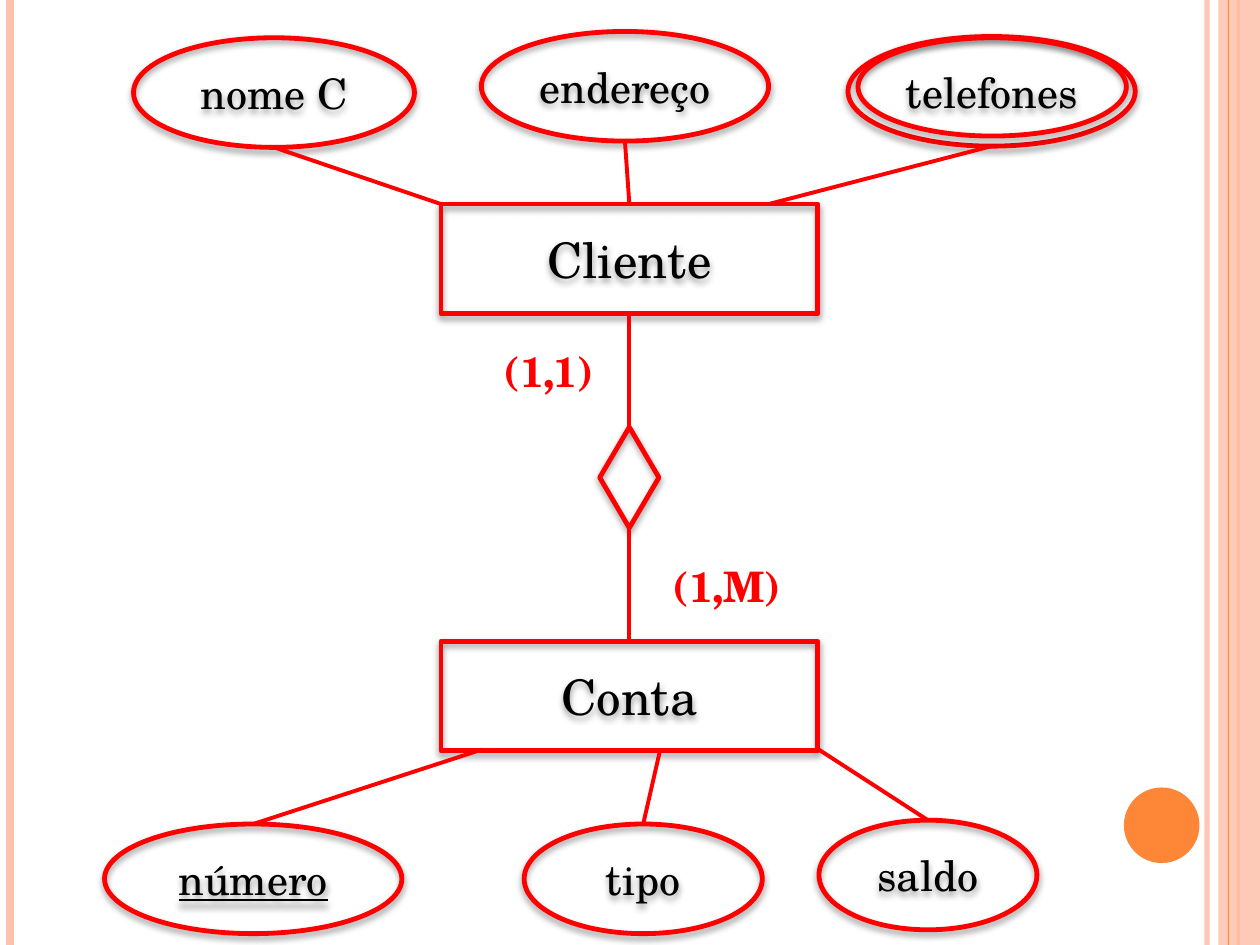
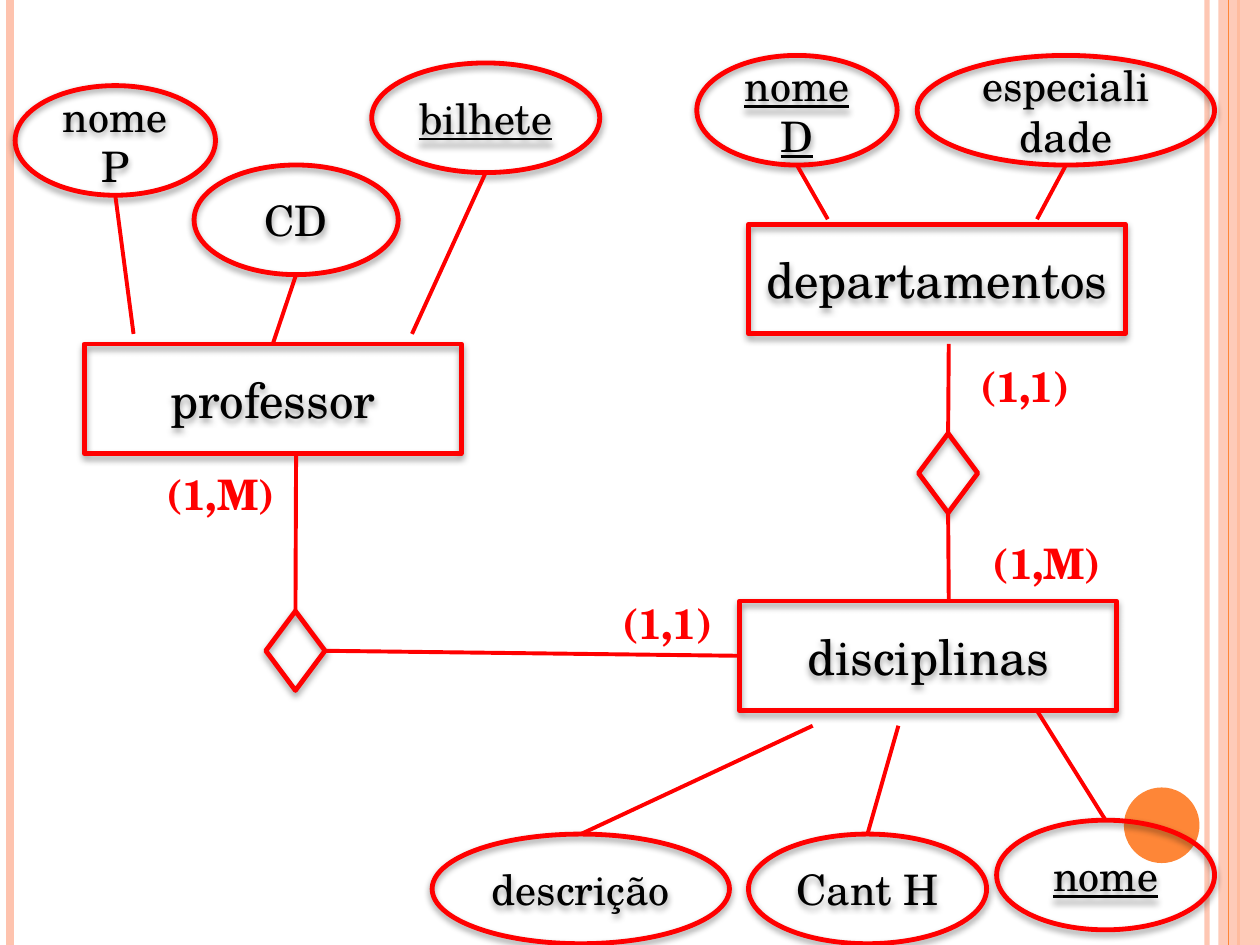
from lxml import etree
from pptx import Presentation
from pptx import util as u
from pptx.dml.color import RGBColor
from pptx.enum import shapes, text
from pptx.oxml.ns import qn

# The grid: 100 columns by 75 rows of square cells
COLUMNS, ROWS = 100, 75
CELL = 0.1
FONT = "TeX Gyre Schola"
COLOURS = {"diagram": "FF0000", "text": "000000", "shadow": "000000",
           "band": "FEC3AE", "accent": "FE8637"}
ENTITY_SIZE = (29.9, 8.7)
ATTRIBUTE_HEIGHT = 8.7
DIAMOND_WIDTH = 4.7
TOP, LEFT, BOTTOM, RIGHT = range(4)
KIND = shapes.MSO_SHAPE


def cells(count):
    return u.Inches(count * CELL)


def colour(name):
    return RGBColor.from_string(COLOURS[name])


def set_alpha(shape, percent):
    for tone in shape._element.spPr.iter(qn("a:srgbClr")):
        etree.SubElement(tone, qn("a:alpha"), val=str(percent * 1000))


def add_soft_shadow(shape):
    effects = shape._element.spPr.find(qn("a:effectLst"))
    shadow = etree.SubElement(effects, qn("a:outerShdw"), blurRad=str(u.Pt(4)),
                              dist=str(u.Pt(2)), dir="5400000", rotWithShape="0")
    tone = etree.SubElement(shadow, qn("a:srgbClr"), val=COLOURS["shadow"])
    etree.SubElement(tone, qn("a:alpha"), val="40000")


def write(frame, wording, size, tone="text", **style):
    run = frame.paragraphs[0].add_run()
    run.text = wording
    run.font.name, run.font.size = FONT, u.Pt(size)
    run.font.color.rgb = colour(tone)
    for trait, value in style.items():
        setattr(run.font, trait, value)


# Basic parts
def add_solid(slide, kind, col, row, width, height, tone):
    solid = slide.shapes.add_shape(kind, *map(cells, (col, row, width, height)))
    solid.shadow.inherit = False
    solid.fill.solid()
    solid.fill.fore_color.rgb = colour(tone)
    solid.line.fill.background()
    return solid


def add_outline(slide, kind, col, row, width, height, label="", size=24, **style):
    outline = slide.shapes.add_shape(kind, *map(cells, (col, row, width, height)))
    outline.shadow.inherit = False
    outline.fill.background()
    outline.line.color.rgb = colour("diagram")
    outline.line.width = u.Pt(2.75)
    add_soft_shadow(outline)
    if label:
        frame = outline.text_frame
        frame.word_wrap = True
        frame.vertical_anchor = text.MSO_ANCHOR.MIDDLE
        frame.paragraphs[0].alignment = text.PP_ALIGN.CENTER
        write(frame, label, size, **style)
    return outline


def add_link(slide, start, end, tone="diagram", weight=2.25):
    """Each end is a (column, row) point or a (shape, side) pair."""
    joined = [not isinstance(place[0], (int, float)) for place in (start, end)]
    points = [(0, 0) if is_joined else place
              for place, is_joined in zip((start, end), joined)]
    link = slide.shapes.add_connector(
        shapes.MSO_CONNECTOR.STRAIGHT,
        *(cells(value) for point in points for value in point))
    if joined[0]:
        link.begin_connect(*start)
    if joined[1]:
        link.end_connect(*end)
    link.line.color.rgb = colour(tone)
    link.line.width = u.Pt(weight)
    etree.SubElement(link._element.spPr, qn("a:effectLst"))
    return link


# Parts of the entity-relationship diagram
def add_entity(slide, name, col, row):
    return add_outline(slide, KIND.RECTANGLE, col, row, *ENTITY_SIZE, name, 28)


def add_attribute(slide, name, col, row, width, anchor, key=False):
    """Ellipse tied to its entity; key attributes are underlined."""
    style = {"underline": True} if key else {}
    add_outline(slide, KIND.OVAL, col, row, width, ATTRIBUTE_HEIGHT, name, **style)
    above_entity = row < ROWS / 2
    edge = row + ATTRIBUTE_HEIGHT if above_entity else row
    add_link(slide, anchor, (col + width / 2, edge))


def add_relationship(slide, col, row, height, ends):
    """Diamond with a link from each given side."""
    diamond = add_outline(slide, KIND.DIAMOND, col, row, DIAMOND_WIDTH, height)
    for side, place in ends.items():
        add_link(slide, (diamond, side), place)


def add_cardinality(slide, wording, col, row):
    width = 10.8 if "M" in wording else 9.4
    box = slide.shapes.add_textbox(*map(cells, (col, row, width, 5)))
    box.text_frame.word_wrap = False
    box.text_frame.auto_size = text.MSO_AUTO_SIZE.SHAPE_TO_FIT_TEXT
    write(box.text_frame, wording, 24, "diagram", bold=True)


def add_margins(slide):
    def rule(col, tone, weight):
        return add_link(slide, (col, 0), (col, ROWS), tone, weight)

    set_alpha(rule(95.8, "band", 3), 93)
    rule(0.8, "band", 4.5)
    rule(98.3, "accent", 1.5)
    set_alpha(add_solid(slide, KIND.RECTANGLE, 96.7, 0, 3.3, ROWS, "band"), 87)
    rule(97.5, "accent", 0.75)
    add_solid(slide, KIND.OVAL, 89.2, 62.5, 6, 6, "accent")


def new_slide(deck):
    slide = deck.slides.add_slide(deck.slide_layouts[6])
    add_margins(slide)
    return slide


# Slides
def build_bank(slide):
    client = add_entity(slide, "Cliente", 35, 16.2)
    account = add_entity(slide, "Conta", 35, 50.9)
    add_relationship(slide, 47.6, 33.9, 8,
                     {TOP: (client, BOTTOM), BOTTOM: (account, TOP)})

    add_attribute(slide, "nome C", 10.6, 3, 22.3, (35, 16.2))
    add_attribute(slide, "endereço", 38.2, 2.5, 22.8, (client, TOP))
    add_attribute(slide, "telefones", 67.3, 2.9, 22.8, (61, 16.2))
    add_outline(slide, KIND.OVAL, 68.1, 3, 21.3, 7.8)  # multivalued ring

    add_attribute(slide, "saldo", 65, 65.1, 17.3, (65, 59.5))
    add_attribute(slide, "tipo", 41.6, 65.4, 18.9, (52.4, 59.5))
    add_attribute(slide, "número", 8.3, 65.4, 23.6, (38.2, 59.5), key=True)

    add_cardinality(slide, "(1,M)", 52.4, 44)
    add_cardinality(slide, "(1,1)", 39, 26.9)


def build_school(slide):
    add_entity(slide, "departamentos", 59.4, 17.8)
    subjects = add_entity(slide, "disciplinas", 58.7, 47.7)
    teacher = add_entity(slide, "professor", 6.7, 27.3)

    add_attribute(slide, "nome P", 1.2, 6.8, 15.9, (10.6, 26.5))
    add_attribute(slide, "CD", 15.4, 13.1, 16.2, (teacher, TOP))
    add_attribute(slide, "bilhete", 29.5, 5, 18.1, (32.7, 26.5), key=True)

    add_attribute(slide, "nomeD", 55.3, 4.4, 15.9, (65.7, 17.4), key=True)
    add_attribute(slide, "especialidade", 72.8, 4.4, 23.6, (82.3, 17.4))

    add_attribute(slide, "nome", 79.1, 65.1, 17.3, (82.3, 56.4), key=True)
    add_attribute(slide, "Cant H", 59.4, 66.2, 18.9, (71.3, 57.6))
    add_attribute(slide, "descrição", 34.3, 66.2, 23.6, (64.5, 57.6))

    add_relationship(slide, 21.1, 48.5, 6.3,
                     {TOP: (23.5, 35.9), RIGHT: (subjects, LEFT)})
    add_relationship(slide, 72.9, 34.4, 6.3,
                     {TOP: (75.3, 27.3), BOTTOM: (75.3, 47.7)})

    add_cardinality(slide, "(1,M)", 77.8, 42.2)
    add_cardinality(slide, "(1,1)", 76.8, 28.1)
    add_cardinality(slide, "(1,M)", 12.2, 36.7)
    add_cardinality(slide, "(1,1)", 48.4, 46.9)


def main():
    deck = Presentation()
    deck.slide_width, deck.slide_height = cells(COLUMNS), cells(ROWS)
    build_bank(new_slide(deck))
    build_school(new_slide(deck))
    deck.save("out.pptx")


if __name__ == "__main__":
    main()
